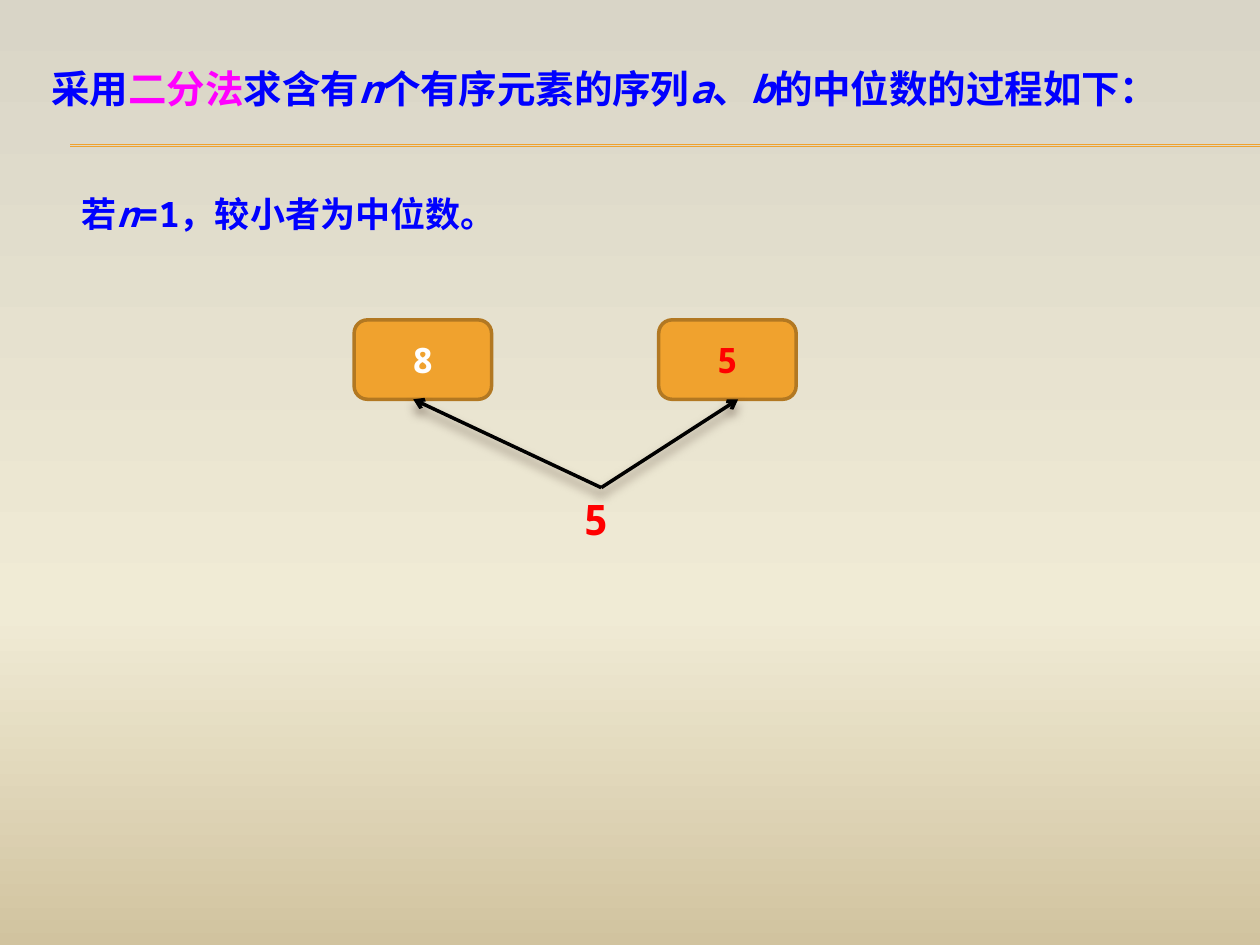
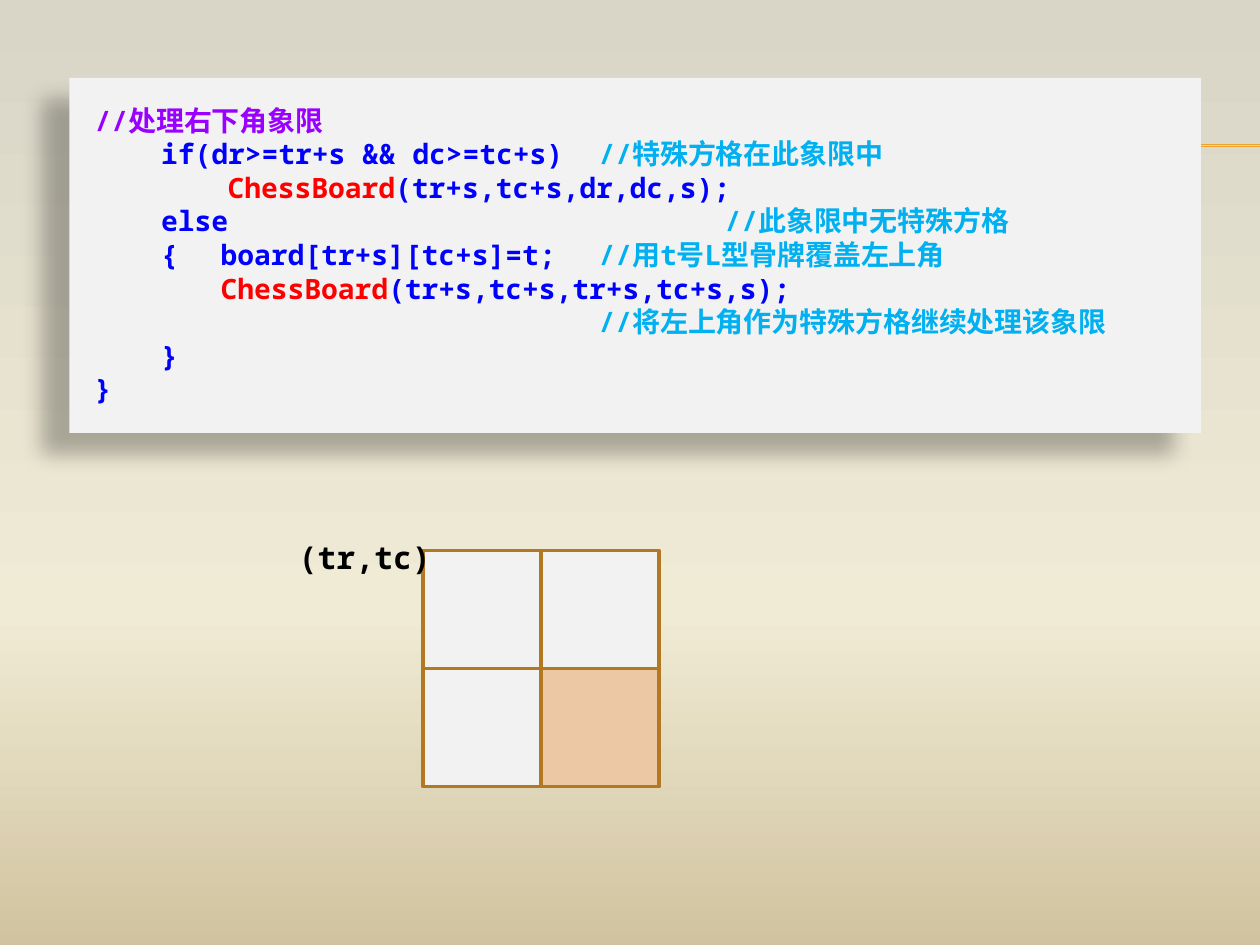
from lxml import etree
from pptx import Presentation
from pptx.dml.color import RGBColor
from pptx.enum.shapes import MSO_CONNECTOR, MSO_SHAPE
from pptx.enum.text import MSO_ANCHOR, PP_ALIGN
from pptx.oxml.ns import qn
from pptx.util import Cm, Pt

STRAIGHT = MSO_CONNECTOR.STRAIGHT
RECTANGLE, ROUNDED = MSO_SHAPE.RECTANGLE, MSO_SHAPE.ROUNDED_RECTANGLE
TOP, MIDDLE = MSO_ANCHOR.TOP, MSO_ANCHOR.MIDDLE
LEFT, CENTER = PP_ALIGN.LEFT, PP_ALIGN.CENTER

FONT = "Noto Sans Mono"
BLUE, RED, MAGENTA, PURPLE, SKY = "0000FF", "FF0000", "FF00FF", "9900FF", "00B0F0"
BLACK, WHITE, PALE, PEACH = "000000", "FFFFFF", "F2F2F2", "ECC8A4"
ORANGE, BROWN, SHADE = "F0A22E", "B27822", "4E3B30"
BACKDROP = [(0, "D9D5C7"), (65, "F0EBD5"), (100, "D1C39F")]


def color(value):
    return RGBColor.from_string(value)


def node(parent, tag, **attributes):
    """Append a DrawingML element and return it."""
    texts = {name: str(value) for name, value in attributes.items()}
    return etree.SubElement(parent, qn("a:" + tag), texts)


class Deck:
    def __init__(self):
        self.deck = Presentation()
        self.deck.slide_width, self.deck.slide_height = Cm(25.4), Cm(19.05)
        self.page = None
        self.paint_backdrop()

    def paint_backdrop(self):
        master = self.deck.slide_master
        master.background.fill.gradient()
        gradient = master.element.find(".//" + qn("a:gradFill"))
        for child in list(gradient):
            gradient.remove(child)
        stops = node(gradient, "gsLst")
        for percent, value in BACKDROP:
            node(node(stops, "gs", pos=percent * 1000), "srgbClr", val=value)
        node(gradient, "lin", ang=90 * 60000, scaled=0)

    def new_page(self):
        self.page = self.deck.slides.add_slide(self.deck.slide_layouts[6])
        for y in (2.92, 2.95):
            self.line((1.42, y), (25.4, y), ORANGE, 0.75)

    def effects(self, item, shadow=None):
        """Give an item no shadow, or one of (colour, opacity, blur, distance, angle)."""
        properties = item._element.spPr
        for old in properties.findall(qn("a:effectLst")):
            properties.remove(old)
        effect_list = node(properties, "effectLst")
        if shadow:
            value, opacity, blur, distance, angle = shadow
            outer = node(effect_list, "outerShdw", blurRad=Pt(blur), dist=Pt(distance),
                         dir=angle * 60000, algn="ctr", rotWithShape=0)
            node(node(outer, "srgbClr", val=value), "alpha", val=opacity * 1000)

    def line(self, start, end, value, width, arrow=False, shadow=None):
        ends = [Cm(length) for length in (*start, *end)]
        connector = self.page.shapes.add_connector(STRAIGHT, *ends)
        connector.line.color.rgb = color(value)
        connector.line.width = Pt(width)
        if arrow:
            node(connector.line._get_or_add_ln(), "tailEnd", type="arrow")
        self.effects(connector, shadow)

    def shape(self, kind, place, fill, outline=None, shadow=None):
        box = self.page.shapes.add_shape(kind, *[Cm(length) for length in place])
        box.shadow.inherit = False
        box.fill.solid()
        box.fill.fore_color.rgb = color(fill)
        if outline:
            box.line.color.rgb = color(outline)
            box.line.width = Pt(2)
        else:
            box.line.fill.background()
        if shadow:
            self.effects(box, shadow)
        return box

    def add_spans(self, para, spans, size, align=LEFT):
        """Fill a paragraph with spans of (text, colour[, italic])."""
        para.alignment = align
        para.font.name, para.font.size, para.font.bold = FONT, Pt(size), True
        for text, value, *italic in spans:
            span = para.add_run()
            span.text = text
            span.font.color.rgb = color(value)
            if italic:
                span.font.italic = True

    def text(self, place, spans, size):
        box = self.page.shapes.add_textbox(*[Cm(length) for length in place])
        box.text_frame.word_wrap = True
        self.add_spans(box.text_frame.paragraphs[0], spans, size)

    def labelled_box(self, place, label, value):
        box = self.shape(ROUNDED, place, ORANGE, BROWN)
        box.text_frame.vertical_anchor = MIDDLE
        self.add_spans(box.text_frame.paragraphs[0], [(label, value)], 20, CENTER)

    def code(self, place, lines):
        """Draw a code panel; each line holds (column in cm, spans) pieces."""
        panel = self.shape(RECTANGLE, place, PALE, shadow=(BLACK, 28, 11.8, 19.7, 141))
        frame = panel.text_frame
        frame.word_wrap, frame.vertical_anchor = True, TOP
        frame.margin_left = frame.margin_top = frame.margin_bottom = Cm(0.51)
        for index, pieces in enumerate(lines):
            para = frame.add_paragraph() if index else frame.paragraphs[0]
            columns = [column for column, _ in pieces if column]
            if columns:
                tabs = node(para._p.get_or_add_pPr(), "tabLst")
                for column in columns:
                    node(tabs, "tab", pos=Cm(column), algn="l")
            spans = []
            for column, ((first, value), *rest) in pieces:
                spans += [("\t" + first if column else first, value), *rest]
            self.add_spans(para, spans, 16)


def median_page(deck):
    deck.new_page()
    # Heading
    deck.text((0.79, 1.19, 23.6, 1.19), [
        ("采用", BLUE), ("二分法", MAGENTA), ("求含有", BLUE), ("n", BLUE, True),
        ("个有序元素的序列", BLUE), ("a", BLUE, True), ("、", BLUE), ("b", BLUE, True),
        ("的中位数的过程如下：", BLUE)], 22)
    # The two values and the smaller one
    for x, label, value in ((7.14, "8", WHITE), (13.28, "5", RED)):
        deck.labelled_box((x, 6.45, 2.77, 1.6), label, value)
    deck.text((11.51, 9.83, 1.19, 1.27), [("5", RED)], 24)
    for x in (14.88, 8.33):
        deck.line((12.12, 9.83), (x, 8.05), BLACK, 2, True, (SHADE, 60, 6, 4, 90))
    deck.text((1.4, 3.76, 8.94, 1.12), [
        ("若", BLUE), ("n", BLUE, True), ("=1，较小者为中位数。", BLUE)], 20)


def chessboard_page(deck):
    deck.new_page()
    # Code panel
    block, body, call, remark, far_remark = 1.34, 2.54, 2.68, 10.16, 12.7
    deck.code((1.4, 1.57, 22.81, 7.16), [
        [(0, [("//处理右下角象限", PURPLE)])],
        [(block, [("if(dr>=tr+s && dc>=tc+s)", BLUE)]),
         (remark, [("//特殊方格在此象限中", SKY)])],
        [(call, [("ChessBoard", RED), ("(tr+s,tc+s,dr,dc,s);", BLUE)])],
        [(block, [("else", BLUE)]), (far_remark, [("//此象限中无特殊方格", SKY)])],
        [(block, [("{", BLUE)]), (body, [("board[tr+s][tc+s]=t;", BLUE)]),
         (remark, [("//用t号L型骨牌覆盖左上角", SKY)])],
        [(body, [("ChessBoard", RED), ("(tr+s,tc+s,tr+s,tc+s,s);", BLUE)])],
        [(remark, [("//将左上角作为特殊方格继续处理该象限", SKY)])],
        [(block, [("}", BLUE)])],
        [(0, [("}", BLUE)])],
    ])
    # Board of four quadrants
    side = 2.38
    for column in range(2):
        for row in range(2):
            fill = PEACH if row and column else PALE
            place = (8.53 + column * side, 11.1 + row * side, side, side)
            deck.shape(RECTANGLE, place, fill, BROWN)
    deck.text((5.77, 10.72, 3.38, 1.02), [("(tr,tc)", BLACK)], 18)


def main():
    deck = Deck()
    median_page(deck)
    chessboard_page(deck)
    deck.deck.save("out.pptx")


if __name__ == "__main__":
    main()
